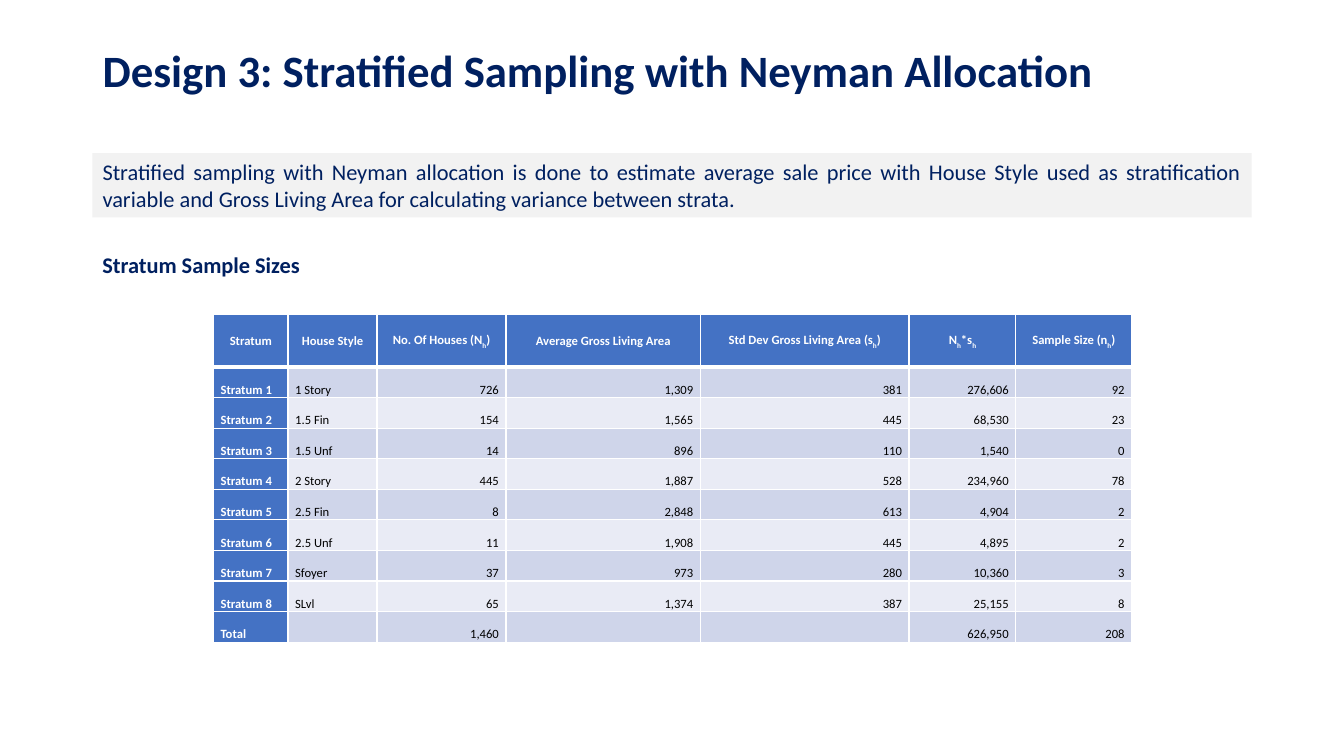
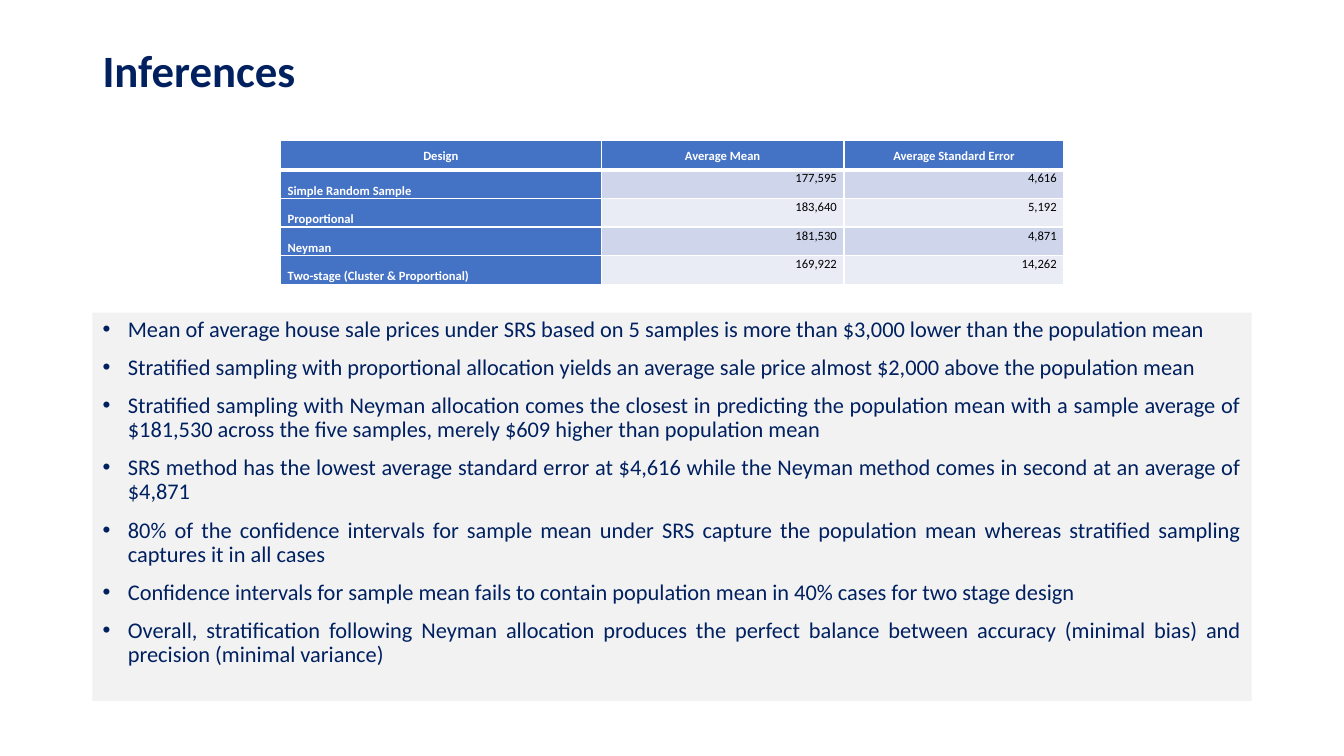
from dataclasses import dataclass

from lxml import etree
from pptx import Presentation
from pptx import util as u
from pptx.dml.color import RGBColor
from pptx.enum import text as t
from pptx.oxml import ns


@dataclass(frozen=True)
class Theme:
    face: str = "Calibri"
    navy: str = "002060"
    panel: str = "F2F2F2"
    head: str = "4472C4"
    odd: str = "CFD5EA"
    even: str = "E9EBF5"
    white: str = "FFFFFF"
    black: str = "000000"
    title: int = 32
    body: int = 16
    cell: int = 9
    thin: int = 1
    thick: int = 3
    left: float = 2.33
    width: float = 29.21
    band: float = 1.62


class Deck:
    def __init__(self, theme):
        self.theme = theme
        self.prs = Presentation()
        self.prs.slide_width = u.Cm(33.87)
        self.prs.slide_height = u.Cm(19.05)
        self.slide = None

    def place(self, shape, top, width, height):
        shape.left, shape.top = u.Cm(self.theme.left), u.Cm(top)
        shape.width, shape.height = u.Cm(width), u.Cm(height)

    def paint(self, item, color):
        item.fill.solid()
        item.fill.fore_color.rgb = RGBColor.from_string(color)

    def style(self, para, size, color, bold=False, align=t.PP_ALIGN.LEFT, space=0.9):
        para.alignment = align
        para.line_spacing = space
        for run in para.runs:
            font = run.font
            font.name, font.size, font.bold = self.theme.face, u.Pt(size), bold
            font.color.rgb = RGBColor.from_string(color)

    def frame(self, shape, anchor):
        frame = shape.text_frame
        frame.word_wrap = True
        frame.auto_size = t.MSO_AUTO_SIZE.NONE
        frame.vertical_anchor = anchor
        return frame

    def heading(self, shape, words, size):
        frame = self.frame(shape, t.MSO_ANCHOR.MIDDLE)
        frame.text = words
        self.style(frame.paragraphs[0], size, self.theme.navy, bold=True)

    def start(self, words):
        self.slide = self.prs.slides.add_slide(self.prs.slide_layouts[1])
        title = self.slide.shapes.title
        self.place(title, 1.02, self.theme.width, self.theme.band)
        self.heading(title, words, self.theme.title)

    def label(self, words, top, width):
        box = self.slide.shapes.add_textbox(0, 0, 0, 0)
        self.place(box, top, width, self.theme.band)
        self.heading(box, words, self.theme.body)

    def panel(self, lines, top, height, space=0.9, bullet=True):
        body = self.slide.placeholders[1]
        self.place(body, top, self.theme.width, height)
        self.paint(body, self.theme.panel)
        frame = self.frame(body, t.MSO_ANCHOR.TOP)
        frame.text = "\n".join(lines)
        for para in frame.paragraphs:
            self.style(para, self.theme.body, self.theme.navy,
                       align=t.PP_ALIGN.JUSTIFY, space=space)
            para.space_before = u.Pt(10)
            self.mark(para, bullet)

    def mark(self, para, bullet):
        props = para._p.get_or_add_pPr()
        indent = u.Cm(0.64) if bullet else 0
        props.set("marL", str(indent))
        props.set("indent", str(-indent))
        if bullet:
            etree.SubElement(props, ns.qn("a:buFont")).set("typeface", "Arial")
            etree.SubElement(props, ns.qn("a:buChar")).set("char", "•")
        else:
            etree.SubElement(props, ns.qn("a:buNone"))

    def border(self, cell, above, below):
        props = cell._tc.get_or_add_tcPr()
        thin = self.theme.thin
        for side, width in (("L", thin), ("R", thin), ("T", above), ("B", below)):
            line = etree.SubElement(props, ns.qn("a:ln" + side), w=str(u.Pt(width)))
            fill = etree.SubElement(line, ns.qn("a:solidFill"))
            etree.SubElement(fill, ns.qn("a:srgbClr"), val=self.theme.white)

    def script(self, para, words):
        for i, part in enumerate(words.split("_")):
            if part:
                run = para.add_run()
                run.text = part
                if i % 2:
                    run._r.get_or_add_rPr().set("baseline", "-25000")
        if not words:
            para._p.get_or_add_endParaRPr().set("sz", str(self.theme.cell * 100))

    def cell(self, cell, words, row, align, anchor, key):
        theme = self.theme
        cell.margin_left = cell.margin_right = u.Cm(0.18)
        cell.margin_top = cell.margin_bottom = 0
        cell.vertical_anchor = anchor
        self.border(cell, theme.thick if row == 1 else theme.thin,
                    theme.thin if row else theme.thick)
        self.paint(cell, theme.head if key else theme.odd if row % 2 else theme.even)
        para = cell.text_frame.paragraphs[0]
        self.script(para, words)
        self.style(para, theme.cell, theme.white if key else theme.black,
                   key, align, 1.07)

    def table(self, rows, left, top, widths, head, step, texts, anchor):
        heights = [head] + [step] * (len(rows) - 1)
        table = self.slide.shapes.add_table(
            len(rows), len(widths), u.Cm(left), u.Cm(top),
            u.Cm(sum(widths)), u.Cm(sum(heights))).table
        for col, width in zip(table.columns, widths):
            col.width = u.Cm(width)
        for r, (row, height) in enumerate(zip(rows, heights)):
            table.rows[r].height = u.Cm(height)
            for c, words in enumerate(row):
                if r == 0:
                    align, hold = t.PP_ALIGN.CENTER, t.MSO_ANCHOR.MIDDLE
                elif c < texts:
                    align, hold = t.PP_ALIGN.LEFT, t.MSO_ANCHOR.BOTTOM
                else:
                    align, hold = t.PP_ALIGN.RIGHT, anchor
                self.cell(table.cell(r, c), words, r, align, hold, r == 0 or c == 0)


STRATA = [
    ("Stratum", "House Style", "No. Of Houses (N_h_)", "Average Gross Living Area",
     "Std Dev Gross Living Area (s_h_)", "N_h_*s_h_", "Sample Size (n_h_)"),
    ("Stratum 1", "1 Story", "726", "1,309", "381", "276,606", "92"),
    ("Stratum 2", "1.5 Fin", "154", "1,565", "445", "68,530", "23"),
    ("Stratum 3", "1.5 Unf", "14", "896", "110", "1,540", "0"),
    ("Stratum 4", "2 Story", "445", "1,887", "528", "234,960", "78"),
    ("Stratum 5", "2.5 Fin", "8", "2,848", "613", "4,904", "2"),
    ("Stratum 6", "2.5 Unf", "11", "1,908", "445", "4,895", "2"),
    ("Stratum 7", "Sfoyer", "37", "973", "280", "10,360", "3"),
    ("Stratum 8", "SLvl", "65", "1,374", "387", "25,155", "8"),
    ("Total", "", "1,460", "", "", "626,950", "208"),
]

DESIGNS = [
    ("Design", "Average Mean", "Average Standard Error"),
    ("Simple Random Sample", "177,595", "4,616"),
    ("Proportional", "183,640", "5,192"),
    ("Neyman", "181,530", "4,871"),
    ("Two-stage (Cluster & Proportional)", "169,922", "14,262"),
]

POINTS = [
    "Mean of average house sale prices under SRS based on 5 samples is more than "
    "$3,000 lower than the population mean",
    "Stratified sampling with proportional allocation yields an average sale price "
    "almost $2,000 above the population mean",
    "Stratified sampling with Neyman allocation comes the closest in predicting the "
    "population mean with a sample average of $181,530 across the five samples, "
    "merely $609 higher than population mean",
    "SRS method has the lowest average standard error at $4,616 while the Neyman "
    "method comes in second at an average of $4,871",
    "80% of the confidence intervals for sample mean under SRS capture the population "
    "mean whereas stratified sampling captures it in all cases",
    "Confidence intervals for sample mean fails to contain population mean in 40% "
    "cases for two stage design",
    "Overall, stratification following Neyman allocation produces the perfect balance "
    "between accuracy (minimal bias) and precision (minimal variance)",
]

INTRO = ("Stratified sampling with Neyman allocation is done to estimate average sale "
         "price with House Style used as stratification variable and Gross Living Area "
         "for calculating variance between strata.")


def main():
    deck = Deck(Theme())

    deck.start("Design 3: Stratified Sampling with Neyman Allocation")
    deck.panel([INTRO], 3.86, deck.theme.band, space=1.0, bullet=False)
    deck.label("Stratum Sample Sizes", 5.89, 9.07)
    deck.table(STRATA, 5.38, 7.93, [1.88, 2.24, 3.25, 4.9, 5.26, 2.69, 2.92],
               1.32, 0.77, 2, t.MSO_ANCHOR.BOTTOM)

    deck.start("Inferences")
    deck.panel(POINTS, 7.88, 9.78)
    deck.table(DESIGNS, 7.07, 3.54, [8.08, 6.12, 5.54], 0.74, 0.72, 1,
               t.MSO_ANCHOR.TOP)

    deck.prs.save("out.pptx")


if __name__ == "__main__":
    main()
